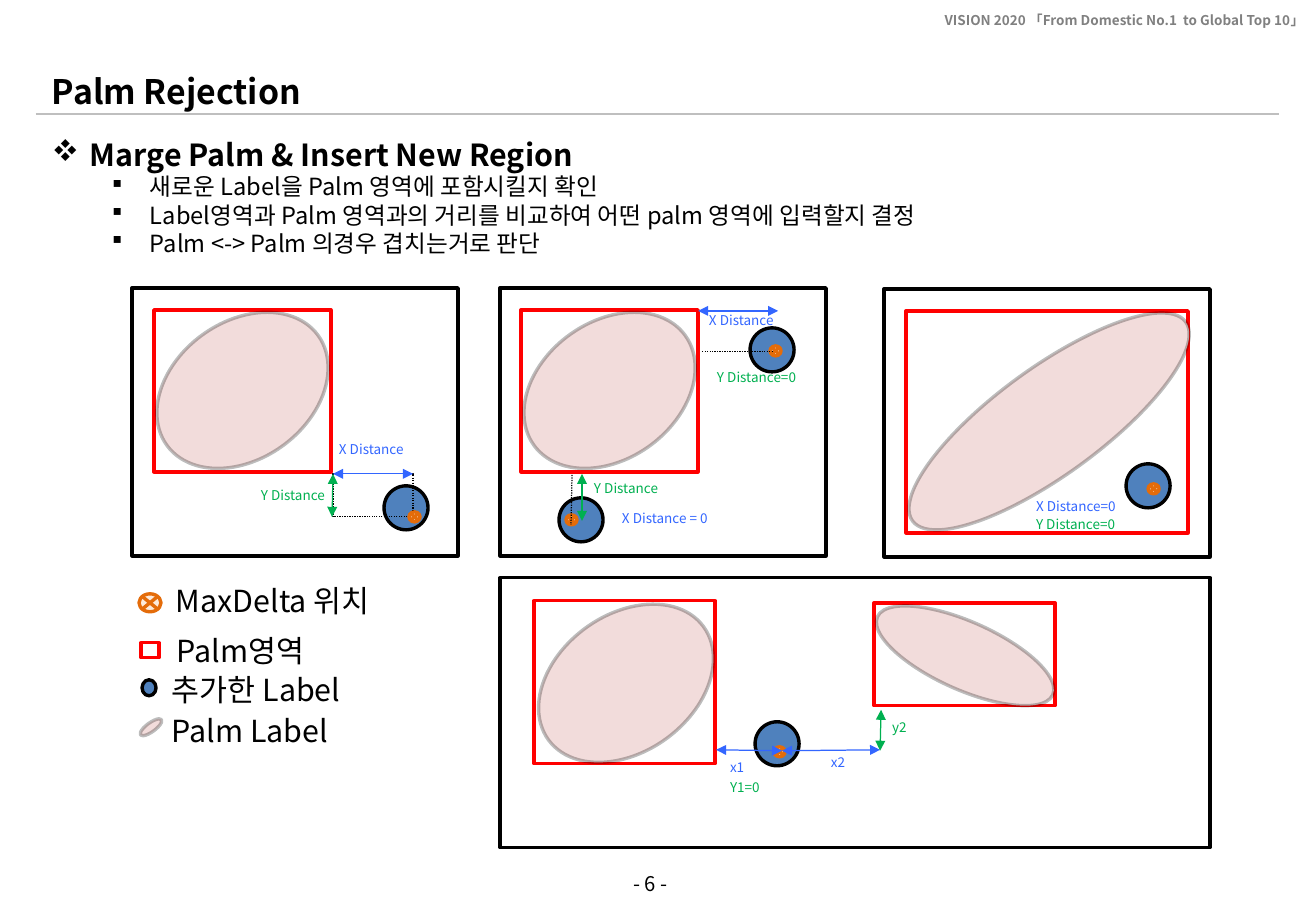
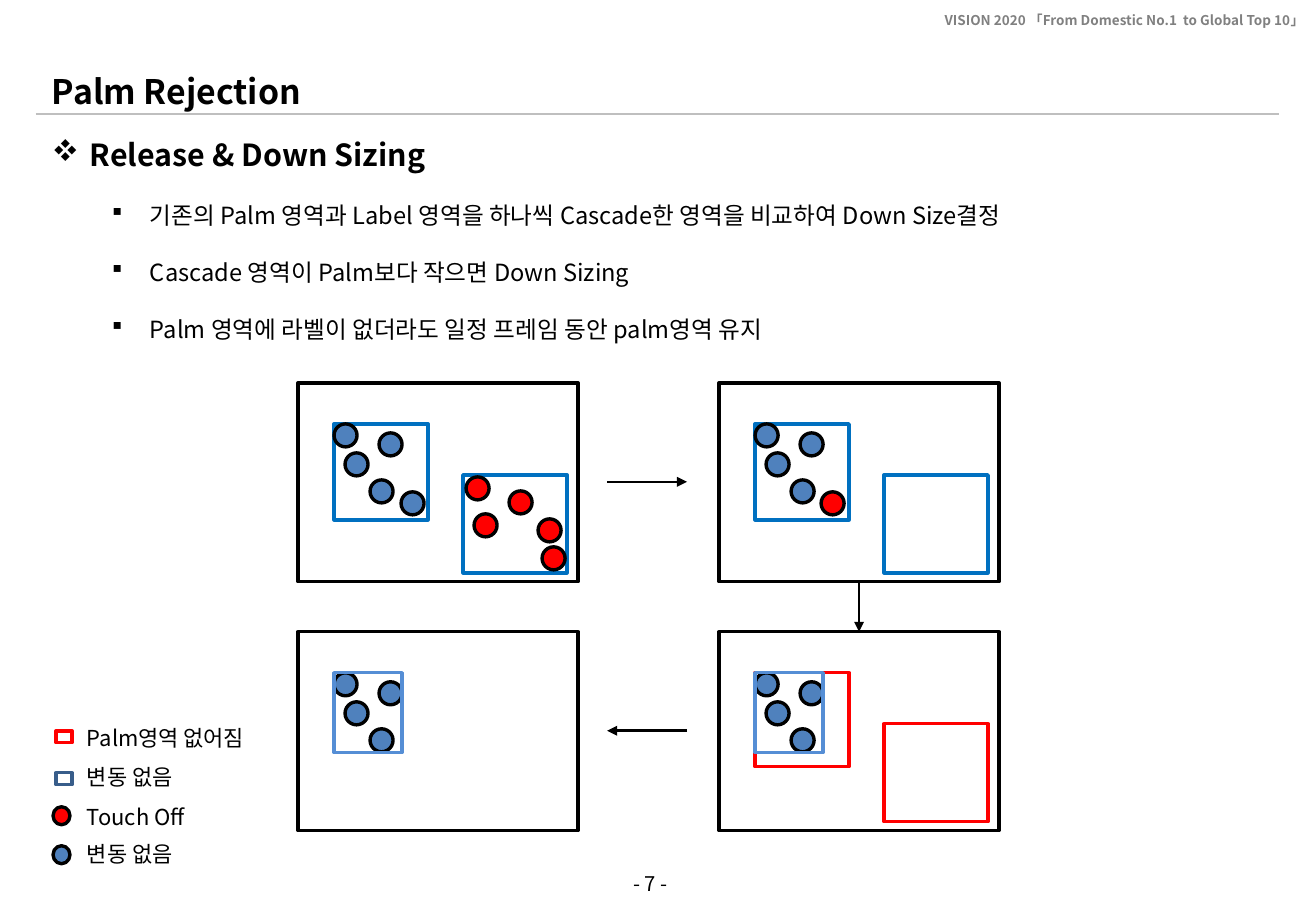
from dataclasses import dataclass
from pptx import Presentation, util as u
from pptx.dml.color import RGBColor
from pptx.enum import shapes, text
from pptx.oxml.ns import qn
from lxml import etree


@dataclass(frozen=True)
class Theme:
    font: str = "Noto Sans CJK KR"
    black: str = "000000"
    grey: str = "808080"
    rule: str = "BFBFBF"
    red: str = "FF0000"
    blue: str = "4F81BD"
    pink: str = "F2DCDB"
    orange: str = "E46C0A"
    cream: str = "FDEADA"
    x_blue: str = "3366FF"
    y_green: str = "00B050"
    zone: str = "0070C0"
    shrunk: str = "558ED5"
    navy: str = "385D8A"
    title: int = 20
    heading: int = 18
    bullet: int = 14
    legend: int = 13
    page: int = 12
    small: int = 8
    outline: float = 2
    thin: float = 0.75


t = Theme()
PX = 914400 / 121.5
RECT, OVAL = shapes.MSO_SHAPE.RECTANGLE, shapes.MSO_SHAPE.OVAL
MARK = shapes.MSO_SHAPE.FLOWCHART_SUMMING_JUNCTION
LINE = "line"
LEFT, CENTER, RIGHT = text.PP_ALIGN.LEFT, text.PP_ALIGN.CENTER, text.PP_ALIGN.RIGHT
TOP, MIDDLE = text.MSO_ANCHOR.TOP, text.MSO_ANCHOR.MIDDLE
DIAMOND, SQUARE = "v", "§"


def draw(s, kind, box, line, fill=None, width=t.outline, rot=0, alpha=None, dash=False, ends=()):
    emu = [round(v * PX) for v in box]
    if kind == LINE:
        sp = s.shapes.add_connector(shapes.MSO_CONNECTOR.STRAIGHT, *emu)
        etree.SubElement(sp._element.spPr, qn("a:effectLst"))
    else:
        sp = s.shapes.add_shape(kind, *emu)
        sp.shadow.inherit = False
        sp.rotation = rot
        sp.fill.background()
        if fill:
            sp.fill.solid()
            sp.fill.fore_color.rgb = RGBColor.from_string(fill)
    sp.line.width = u.Pt(width)
    sp.line.color.rgb = RGBColor.from_string(line)
    if dash:
        etree.SubElement(sp.line._ln, qn("a:prstDash"), val="sysDot")
    if alpha:
        color = sp.line._ln.find(".//" + qn("a:srgbClr"))
        etree.SubElement(color, qn("a:alpha"), val=str(alpha * 1000))
    for end in ends:
        etree.SubElement(sp.line._ln, qn("a:" + end), type="triangle")


def write(s, box, lines, size, color=t.black, bold=False, align=LEFT, anchor=TOP, gap=0):
    tf = s.shapes.add_textbox(*[round(v * PX) for v in box]).text_frame
    tf.word_wrap = True
    tf.vertical_anchor = anchor
    for i, (words, bullet) in enumerate(lines):
        p = tf.paragraphs[0] if i == 0 else tf.add_paragraph()
        sub = bullet == SQUARE
        p.text = words
        p.alignment = align
        p.level = int(sub)
        p.space_before = u.Pt(gap if sub else 0)
        p.font.name = t.font
        p.font.size = u.Pt(t.bullet if sub else size)
        p.font.bold = bold and not sub
        p.font.color.rgb = RGBColor.from_string(color)
        pPr = p._p.get_or_add_pPr()
        rPr = pPr.find(qn("a:defRPr"))
        etree.SubElement(rPr, qn("a:ea"), typeface=t.font)
        if bullet:
            pPr.set("marL", str(round((98 if sub else 38) * PX)))
            pPr.set("indent", str(round(-38 * PX)))
            rPr.addprevious(etree.Element(qn("a:buFont"), typeface="Wingdings", charset="2"))
            rPr.addprevious(etree.Element(qn("a:buChar"), char=bullet))


prs = Presentation()
prs.slide_width, prs.slide_height = u.Inches(10.83), u.Inches(7.5)

pages = [
    (6, "Marge Palm & Insert New Region", 0, [
        "새로운 Label을 Palm 영역에 포함시킬지 확인",
        "Label영역과 Palm 영역과의 거리를 비교하여 어떤 palm 영역에 입력할지 결정",
        "Palm <-> Palm 의경우 겹치는거로 판단"]),
    (7, "Release & Down Sizing", 17, [
        "기존의 Palm 영역과 Label 영역을 하나씩 Cascade한 영역을 비교하여 Down Size결정",
        "Cascade 영역이 Palm보다 작으면 Down Sizing",
        "Palm 영역에 라벨이 없더라도 일정 프레임 동안 palm영역 유지"]),
]
slides = []
for number, heading, gap, bullets in pages:
    s = prs.slides.add_slide(prs.slide_layouts[6])
    slides.append(s)
    write(s, (811, 6, 505, 29), [("VISION 2020 「From Domestic No.1  to Global Top 10」", None)],
          t.small, t.grey, True, RIGHT)
    draw(s, LINE, (36, 114, 1279, 114), t.rule, width=1)
    write(s, (509, 852, 283, 63), [(f"- {number} -", None)], t.page, align=CENTER, anchor=MIDDLE)
    write(s, (40, 65, 1135, 53), [("Palm Rejection", None)], t.title, bold=True)
    write(s, (40, 130, 1172, 135), [(heading, DIAMOND)] + [(b, SQUARE) for b in bullets],
          t.heading, bold=True, gap=gap)

merge, release = slides

for panel in [(132, 288, 326, 268), (500, 288, 326, 268), (884, 289, 326, 268), (500, 578, 710, 270)]:
    draw(merge, RECT, panel, t.black)
palms = [
    ((154, 310, 177, 162), (149, 322, 187, 137), 323.9),
    ((521, 310, 177, 162), (516, 322, 187, 137), 323.9),
    ((906, 311, 282, 222), (880, 368, 338, 107), 323.9),
    ((534, 601, 181, 163), (530, 615, 192, 137), 323.9),
    ((874, 603, 181, 103), (869, 622, 192, 68), 24),
]
for region, palm, rot in palms:
    draw(merge, RECT, region, t.red)
    draw(merge, OVAL, palm, t.black, t.pink, rot=rot, alpha=25)
for x, y in [(384, 486), (559, 498), (750, 328), (1126, 464), (755, 722)]:
    draw(merge, OVAL, (x, y, 44, 44), t.black, t.blue)

draw(merge, RECT, (333, 474, 80, 43), t.black, width=t.thin, dash=True)
for x, y in [(409, 512), (566, 515), (770, 346), (1148, 484), (774, 747)]:
    draw(merge, MARK, (x, y, 11, 10), t.orange, t.cream)
for guide in [(702, 352, 774, 352), (572, 475, 571, 525)]:
    draw(merge, LINE, guide, t.black, width=t.thin, dash=True)

distances = [
    (t.x_blue, [(333, 474, 413, 474), (698, 311, 778, 311), (716, 750, 782, 751), (782, 751, 880, 750)]),
    (t.y_green, [(333, 474, 332, 517), (582, 474, 582, 521), (881, 710, 880, 751)]),
]
for color, arrows in distances:
    for arrow in arrows:
        draw(merge, LINE, arrow, color, width=t.thin, ends=("headEnd", "tailEnd"))

notes = [
    (t.x_blue, [("X Distance", 327, 435), ("X Distance = 0", 610, 504), ("X Distance", 697, 306),
                ("X Distance=0", 1024, 492), ("x1", 718, 753), ("x2", 819, 748)]),
    (t.y_green, [("Y Distance", 249, 481), ("Y Distance", 582, 474), ("Y Distance=0", 705, 363),
                 ("Y Distance=0", 1024, 510), ("y2", 880, 713), ("Y1=0", 718, 773)]),
]
for color, labels in notes:
    for words, x, y in labels:
        write(merge, (x, y, 110, 29), [(words, None)], t.small, color)

draw(merge, MARK, (139, 594, 22, 18), t.orange, t.cream)
draw(merge, RECT, (141, 643, 18, 15), t.red)
draw(merge, OVAL, (142, 680, 14, 16), t.black, t.blue)
draw(merge, OVAL, (138, 723, 26, 9), t.black, t.pink, rot=323.9, alpha=25)
for words, x, y in [("MaxDelta 위치", 164, 576), ("Palm영역", 165, 626),
                    ("추가한 Label", 160, 665), ("Palm Label", 160, 706)]:
    write(merge, (x, y, 294, 49), [(words, None)], t.heading)

kept = [(36, 41, t.blue), (47, 70, t.blue), (81, 50, t.blue), (72, 97, t.blue)]
released = [(x, y, t.red) for x, y in [(168, 94), (211, 108), (176, 131), (240, 136), (244, 164)]]
first, second, shrunk = (36, 41, 94, 96), (165, 92, 104, 98), (36, 41, 68, 80)
stages = [
    (298, 383, [first, second], t.zone, kept + [(103, 109, t.blue)] + released, False),
    (719, 383, [first, second], t.zone, kept + [(102, 109, t.red)], False),
    (719, 632, [(36, 41, 94, 94), second], t.red, kept, True),
    (298, 632, [], t.red, kept, True),
]
for left, top, zones, color, touches, is_shrunk in stages:
    draw(release, RECT, (left, top, 280, 199), t.black)
    for x, y, w, h in zones:
        draw(release, RECT, (left + x, top + y, w, h), color)
    for x, y, fill in touches:
        draw(release, OVAL, (left + x, top + y, 23, 23), t.black, fill)
    if is_shrunk:
        x, y, w, h = shrunk
        draw(release, RECT, (left + x, top + y, w, h), t.shrunk)
for step in [(607, 482, 687, 482), (859, 582, 859, 632), (687, 731, 607, 731)]:
    draw(release, LINE, step, t.black, width=1.5, ends=("tailEnd",))

legend = [
    (RECT, (56, 731, 16, 12), t.red, None, "Palm영역 없어짐", 719),
    (RECT, (56, 773, 16, 12), t.navy, None, "변동 없음", 758),
    (OVAL, (53, 807, 17, 18), t.black, t.red, "Touch Off", 798),
    (OVAL, (53, 846, 17, 18), t.black, t.blue, "변동 없음", 835),
]
for kind, box, line, fill, words, y in legend:
    draw(release, kind, box, line, fill)
    write(release, (75, y, 232, 39), [(words, None)], t.legend)

prs.save("out.pptx")
